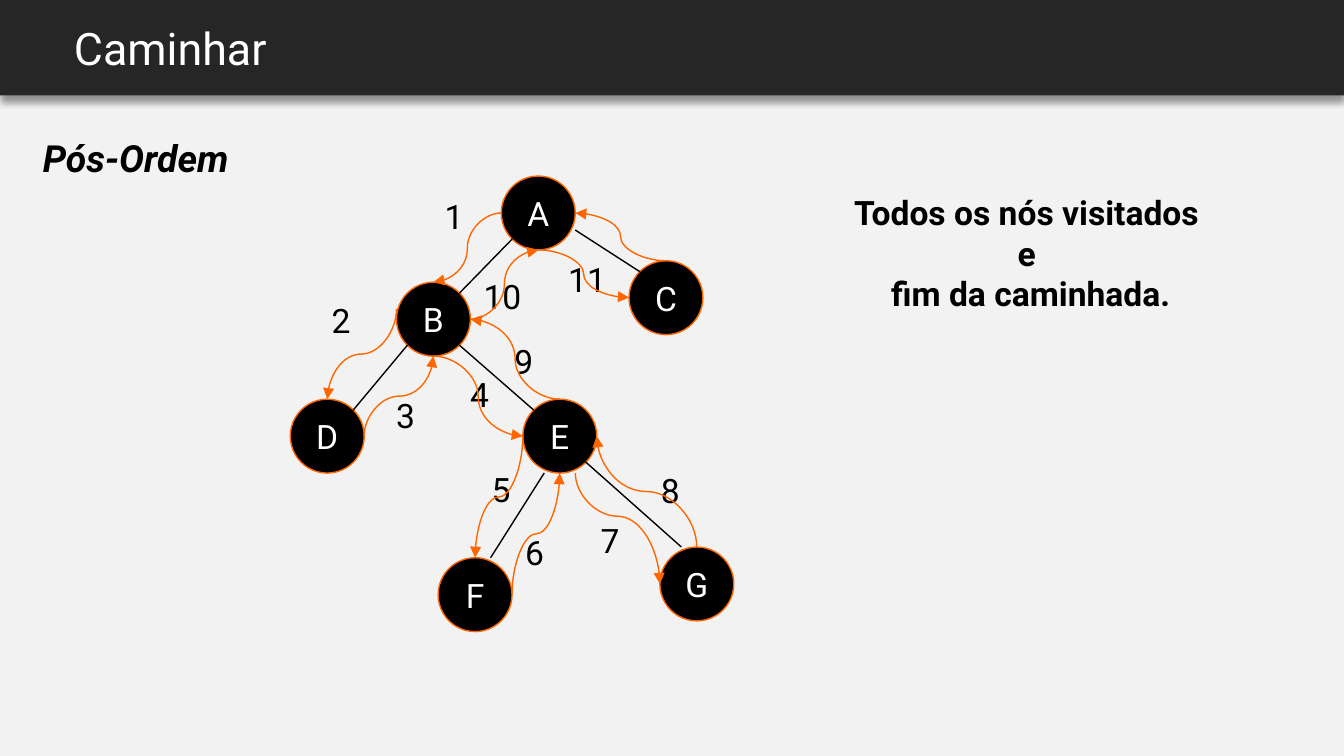
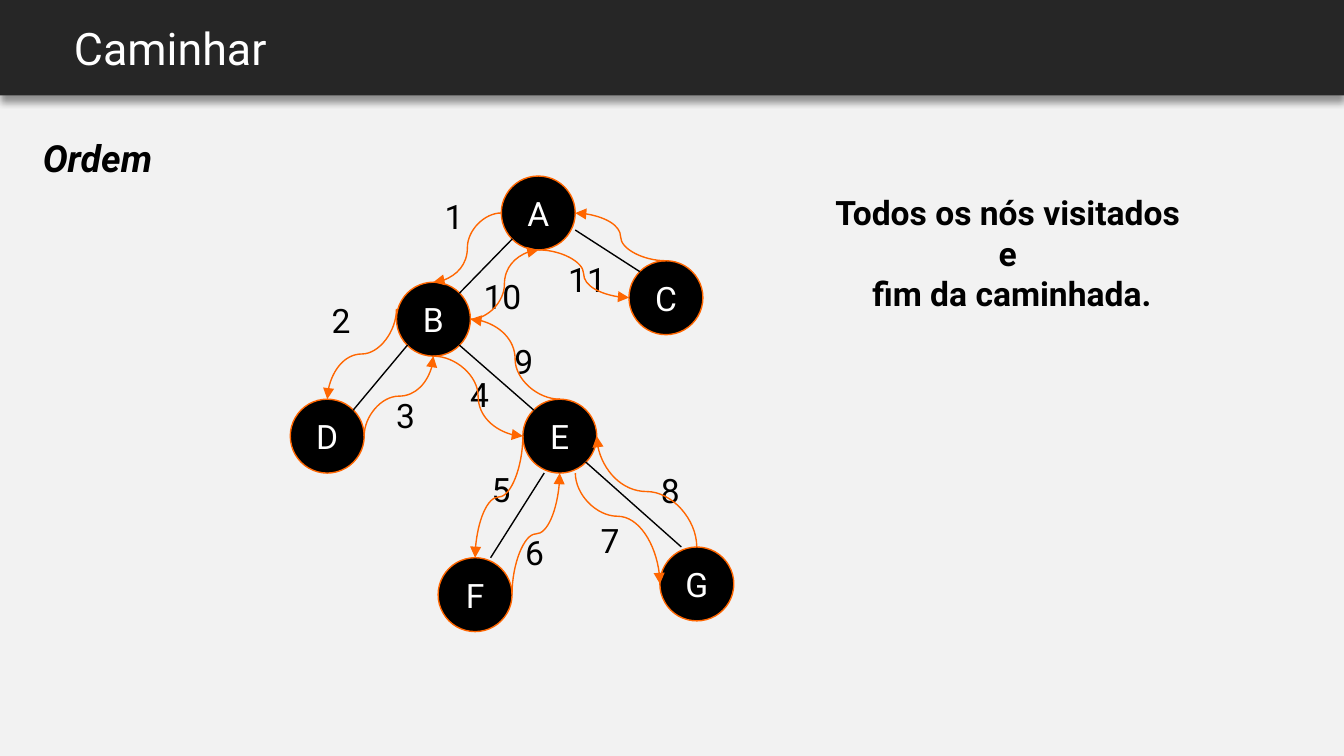
from dataclasses import dataclass
from typing import Any, Optional

from lxml.etree import SubElement
from pptx import Presentation
from pptx.dml.color import RGBColor
from pptx.enum.shapes import MSO_CONNECTOR as Connector, MSO_SHAPE as Preset
from pptx.enum.text import MSO_ANCHOR as Anchor, MSO_AUTO_SIZE as AutoSize, PP_ALIGN as Align
from pptx.oxml.ns import qn
from pptx.util import Emu, Inches, Pt

COLUMNS, ROWS = 100, 56.25
CELL = Inches(0.1)
NODE_SIZE = 5.5
BLACK, WHITE, ORANGE, BAND, PAPER = "000000", "FFFFFF", "FF6600", "262626", "F2F2F2"
BAND_ROWS = 7.1
BODY = {"name": "Roboto", "size": Pt(18), "bold": False, "italic": False}
TITLE = BODY | {"size": Pt(24)}
HEADING = BODY | {"size": Pt(20), "bold": True, "italic": True}
MESSAGE = BODY | {"bold": True}

NODES = {
    "A": (37.3, 13.1), "B": (29.5, 21), "D": (21.6, 29.7), "C": (46.8, 19.4),
    "E": (38.9, 29.7), "F": (32.6, 41.5), "G": (49.1, 40.7),
}
SIDES = {
    "n": (0.5, 0), "w": (0, 0.5), "s": (0.5, 1), "e": (1, 0.5),
    "nw": (0.15, 0.15), "ne": (0.85, 0.15), "sw": (0.15, 0.85), "se": (0.85, 0.85),
    "wnw": (0, 0.36), "ese": (1, 0.73), "nnw": (0.29, 0), "nne": (0.71, 0),
    "ssw": (0.29, 1), "sse": (0.71, 1),
}
EDGES = [
    ("A sw", "B ne"), ("B sw", "D ne"), ("A ese", "C nw"),
    ("B se", "E nw"), ("E ssw", "F nne"), ("E se", "G nnw"),
]


@dataclass(frozen=True)
class Box:
    left: float
    top: float
    width: float
    height: float

    def lengths(self) -> list[Emu]:
        return [Emu(round(value * CELL)) for value in (self.left, self.top, self.width, self.height)]


@dataclass(frozen=True)
class Step:
    start: str
    end: str
    label_at: Optional[tuple[float, float]] = None
    label_width: float = 3.4
    vertical: bool = False
    bend: float = 0.5


@dataclass(frozen=True)
class Walk:
    heading: str
    message_left: float


STEPS = [
    Step("A w", "B n", (32.1, 14.1), 4.1),
    Step("B wnw", "D n", (23.7, 21.8), vertical=True),
    Step("D e", "B s", (28.5, 28.9), vertical=True),
    Step("B s", "E w", (34, 27.3)),
    Step("E w", "F n", (35.6, 34.4), vertical=True),
    Step("F e", "E s", (38.1, 39.1), vertical=True),
    Step("E sse", "G w", (43.7, 38.2), vertical=True, bend=0.39),
    Step("G n", "E e", (48.2, 34.5), vertical=True),
    Step("E n", "B e", (37.3, 24.9)),
    Step("B e", "A s", (35, 20), 5.9),
    Step("A s", "C w", (41.3, 18.8), 7.3),
    Step("C n", "A e"),
]
WALKS = [Walk("Pós-Ordem", 61.7), Walk("Ordem", 60.3)]
MESSAGE_LINES = ["Todos os nós visitados ", "e ", "fim da caminhada."]


def color(value: str) -> RGBColor:
    return RGBColor.from_string(value)


def apply(target: Any, values: dict[str, Any]) -> None:
    for name, value in values.items():
        setattr(target, name, value)


def write(shape: Any, lines: list[str], font: dict[str, Any], ink: str, align: Align,
          anchor: Anchor = Anchor.TOP, insets: tuple[float, float] = (0.1, 0.05)) -> None:
    across, down = map(Inches, insets)
    frame = shape.text_frame
    apply(frame, {
        "word_wrap": True, "auto_size": AutoSize.NONE, "vertical_anchor": anchor,
        "margin_left": across, "margin_right": across, "margin_top": down, "margin_bottom": down,
    })
    frame.text = "\n".join(lines)
    for paragraph in frame.paragraphs:
        paragraph.alignment = align
        for run in paragraph.runs:
            apply(run.font, font)
            run.font.color.rgb = color(ink)


def add_text(shapes: Any, box: Box, lines: list[str], font: dict[str, Any],
             align: Align = Align.LEFT, **layout: Any) -> None:
    write(shapes.add_textbox(*box.lengths()), lines, font, BLACK, align, **layout)


def add_filled(shapes: Any, preset: Preset, box: Box, fill: str) -> Any:
    shape = shapes.add_shape(preset, *box.lengths())
    shape.fill.solid()
    shape.fill.fore_color.rgb = color(fill)
    shape.line.fill.background()
    shape.shadow.inherit = False
    return shape


def add_node(shapes: Any, name: str) -> None:
    node = add_filled(shapes, Preset.OVAL, Box(*NODES[name], NODE_SIZE, NODE_SIZE), BLACK)
    node.line.color.rgb = color(ORANGE)
    node.line.width = Pt(0.75)
    write(node, [name], BODY, WHITE, Align.CENTER, Anchor.MIDDLE)


def point(place: str) -> tuple[float, float]:
    name, side = place.split()
    left, top = NODES[name]
    across, down = SIDES[side]
    return left + across * NODE_SIZE, top + down * NODE_SIZE


def add_line(shapes: Any, kind: Connector, ends: tuple[float, ...], ink: str) -> Any:
    connector = shapes.add_connector(kind, *[Emu(round(value * CELL)) for value in ends])
    connector.line.color.rgb = color(ink)
    connector.line.width = Pt(0.75)
    SubElement(connector._element.spPr, qn("a:effectLst"))
    return connector


def add_arrow(shapes: Any, step: Step) -> None:
    (x1, y1), (x2, y2) = point(step.start), point(step.end)
    right, down = x2 > x1, y2 > y1
    width, height = abs(x2 - x1), abs(y2 - y1)
    if step.vertical:
        width, height = height, width
        turn, flip = (270 if right else 90), right == down
    else:
        turn, flip = (0 if down else 180), right != down
    left, top = (x1 + x2 - width) / 2, (y1 + y2 - height) / 2
    arrow = add_line(shapes, Connector.CURVE, (left, top, left + width, top + height), ORANGE)
    properties = arrow._element.spPr
    transform = properties.find(qn("a:xfrm"))
    transform.set("rot", str(turn * 60000))
    transform.set("flipH", str(int(flip)))
    guides = properties.find(qn("a:prstGeom")).get_or_add_avLst()
    SubElement(guides, qn("a:gd"), name="adj1", fmla=f"val {round(step.bend * 100000)}")
    SubElement(properties.find(qn("a:ln")), qn("a:tailEnd"), type="triangle")


def add_tree(slide: Any) -> None:
    tree = slide.shapes.add_group_shape()
    for name in NODES:
        add_node(tree.shapes, name)
    for start, end in EDGES:
        add_line(tree.shapes, Connector.STRAIGHT, point(start) + point(end), BLACK)


def add_steps(slide: Any) -> None:
    for number, step in enumerate(STEPS, 1):
        if step.label_at:
            add_text(slide.shapes, Box(*step.label_at, step.label_width, 3.8), [str(number)], BODY)
        add_arrow(slide.shapes, step)


def add_title_band(slide: Any, text: str) -> None:
    band = add_filled(slide.shapes, Preset.RECTANGLE, Box(0, 0, COLUMNS, BAND_ROWS), BAND)
    effects = band._element.spPr.find(qn("a:effectLst"))
    shadow = SubElement(effects, qn("a:outerShdw"), blurRad=str(Pt(4)), dist=str(Pt(3)),
                        dir=str(90 * 60000), algn="t", rotWithShape="0")
    shade = SubElement(shadow, qn("a:srgbClr"), val=BLACK)
    SubElement(shade, qn("a:alpha"), val="40000")
    title = slide.shapes.title
    box = Box(4.5, 0, 90.5, BAND_ROWS)
    apply(title, dict(zip(("left", "top", "width", "height"), box.lengths())))
    write(title, [text], TITLE, WHITE, Align.LEFT, Anchor.MIDDLE, (0.1, 0.1))
    slide.shapes._spTree.append(title._element)


def add_walk(presentation: Any, walk: Walk) -> None:
    slide = presentation.slides.add_slide(presentation.slide_layouts.get_by_name("Title Only"))
    add_text(slide.shapes, Box(2.2, 8.2, 30, 7.1), [walk.heading], HEADING,
             anchor=Anchor.MIDDLE, insets=(0.1, 0.1))
    add_tree(slide)
    add_text(slide.shapes, Box(walk.message_left, 13.9, 30, 9.8), MESSAGE_LINES, MESSAGE,
             Align.CENTER, insets=(0.07, 0.04))
    add_steps(slide)
    add_title_band(slide, "Caminhar")


def main() -> None:
    presentation = Presentation()
    presentation.slide_width = Emu(COLUMNS * CELL)
    presentation.slide_height = Emu(round(ROWS * CELL))
    background = presentation.slide_master.background.fill
    background.solid()
    background.fore_color.rgb = color(PAPER)
    for walk in WALKS:
        add_walk(presentation, walk)
    presentation.save("out.pptx")


if __name__ == "__main__":
    main()
